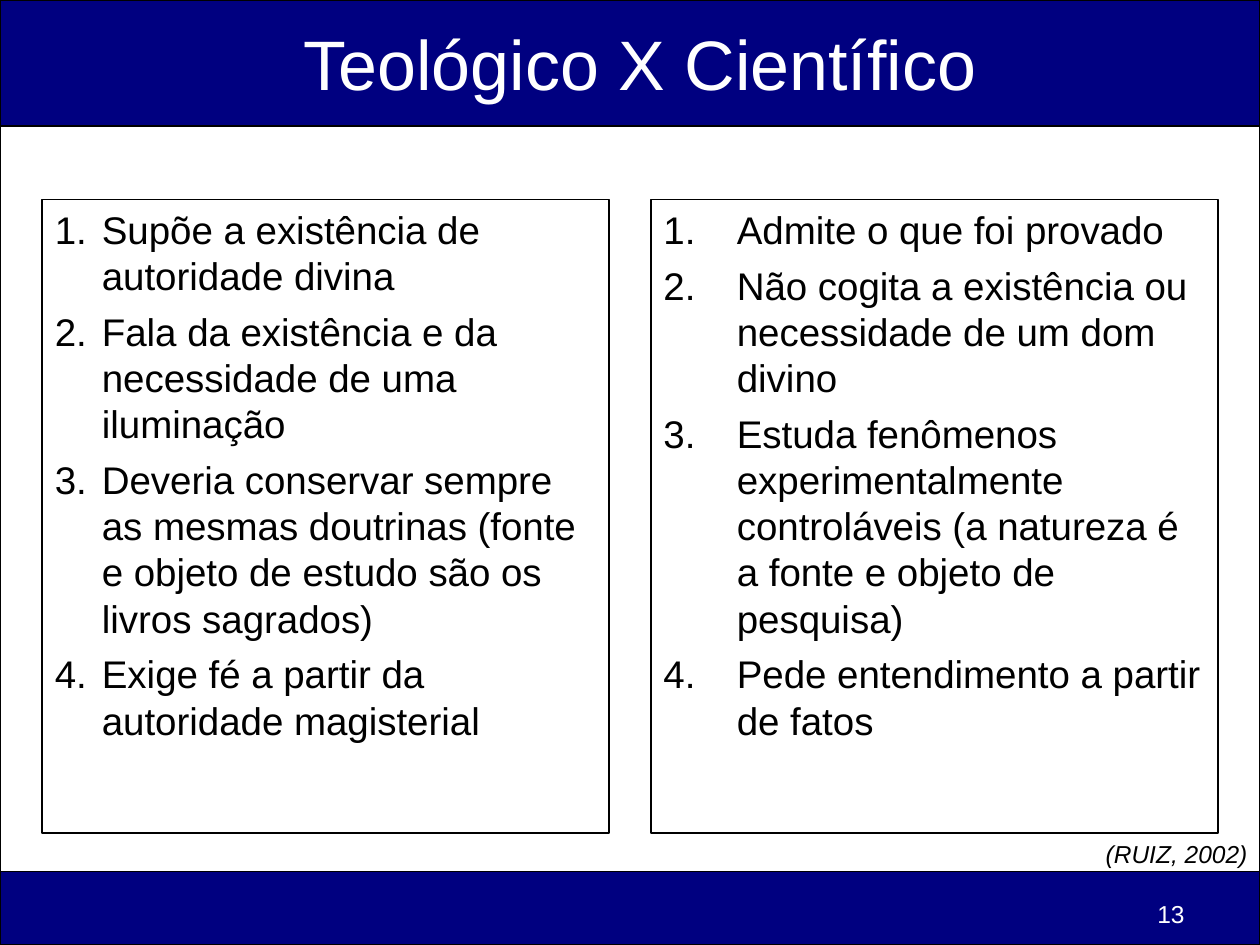
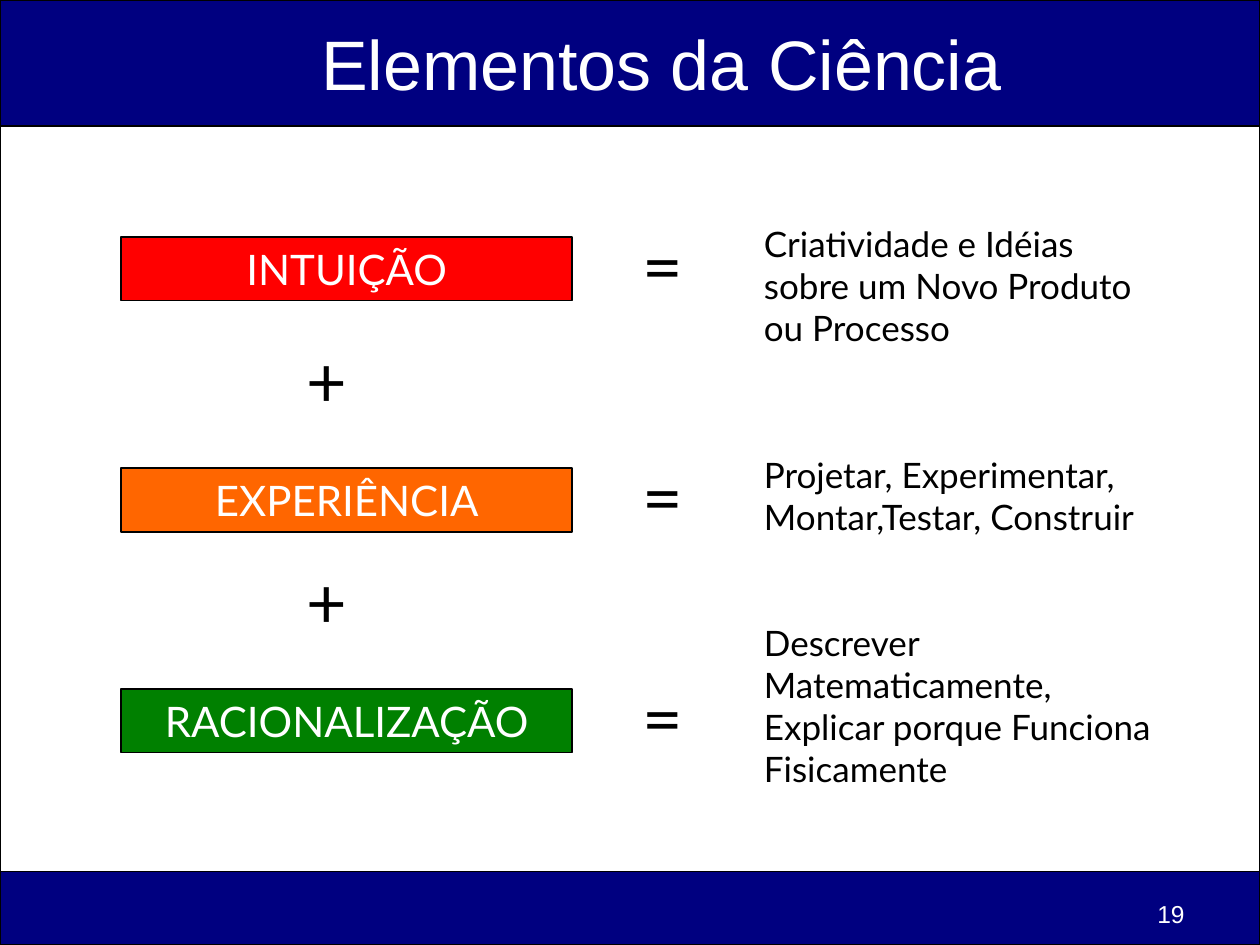
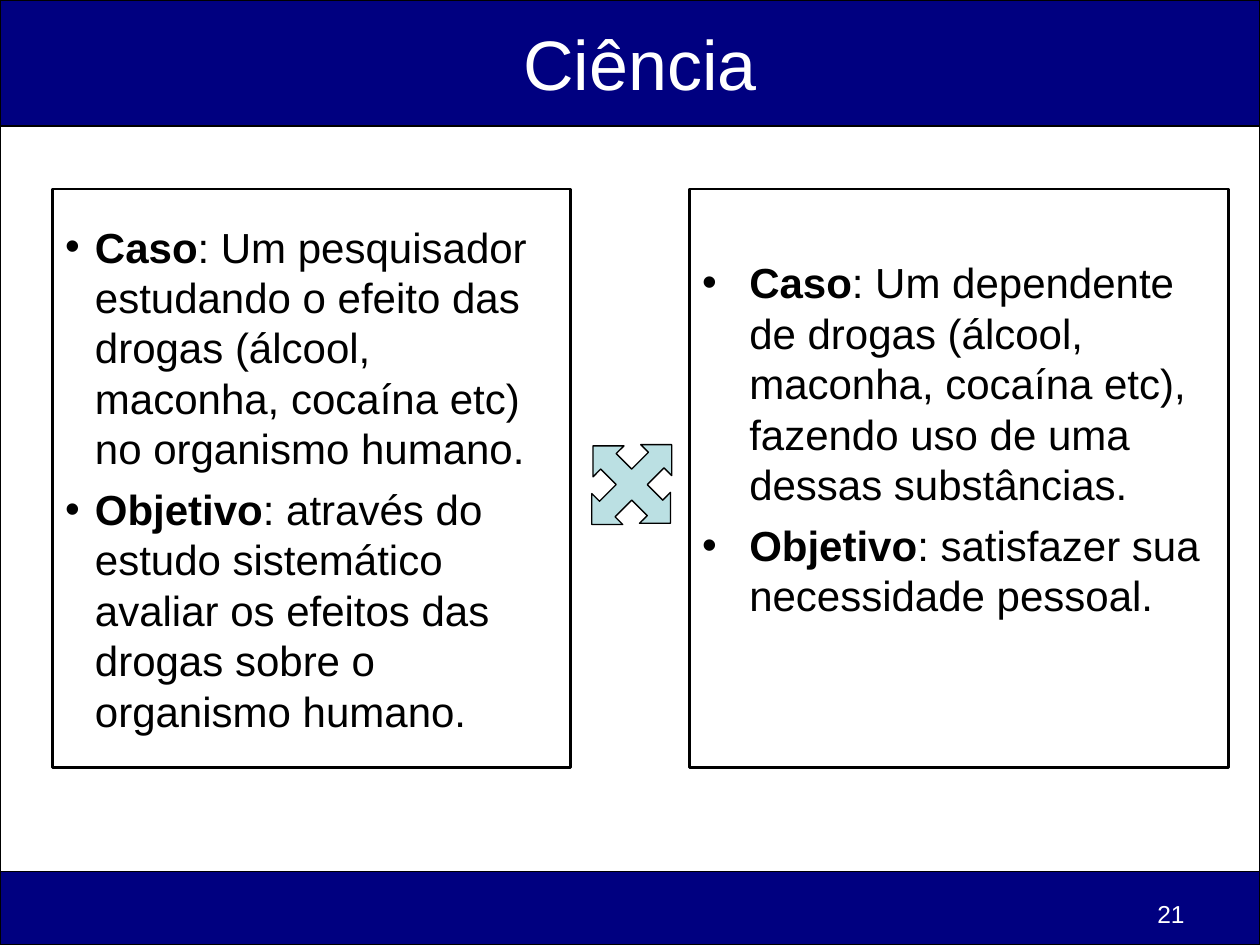
from typing import NamedTuple

from lxml.etree import SubElement
from pptx import Presentation
from pptx.dml.color import RGBColor
from pptx.enum.shapes import MSO_SHAPE
from pptx.enum.text import MSO_ANCHOR, MSO_AUTO_SIZE, PP_ALIGN
from pptx.oxml.ns import qn
from pptx.util import Cm, Pt

NAVY = RGBColor(0x00, 0x00, 0x80)
LAVENDER = RGBColor(0xE4, 0xE5, 0xFE)
WHITE = RGBColor(0xFF, 0xFF, 0xFF)
BLACK = RGBColor(0x00, 0x00, 0x00)
RED = RGBColor(0xFF, 0x00, 0x00)
ORANGE = RGBColor(0xFF, 0x66, 0x00)
GREEN = RGBColor(0x00, 0x80, 0x00)
PALE_TEAL = RGBColor(0xBB, 0xE0, 0xE3)

SANS = "Arial"
HUMANIST = "Lato"
TWO_CONTENT, TITLE_ONLY = 3, 5
LINE_RATIO = 1.2


class Box(NamedTuple):
    left: float
    top: float
    width: float
    height: float

    def lengths(self):
        return [Cm(value) for value in self]


PAGE = Box(0, 0, 25.4, 19.05)
HEADER = Box(0, 0, PAGE.width, 2.54)
FOOTER = Box(0, 17.57, PAGE.width, 1.48)
CONTENT = Box(0, HEADER.height, PAGE.width, FOOTER.top - HEADER.height)


def add_run(paragraph, text, size, color=BLACK, font=SANS, bold=False, italic=False):
    run = paragraph.add_run()
    run.text = text
    run.font.name = font
    run.font.size = Pt(size)
    run.font.color.rgb = color
    run.font.bold = bold
    run.font.italic = italic


def add_label(slide, box, text, size, color=BLACK, font=SANS,
              align=PP_ALIGN.LEFT, italic=False):
    label = slide.shapes.add_textbox(*box.lengths())
    label.text_frame.word_wrap = True
    paragraph = label.text_frame.paragraphs[0]
    paragraph.alignment = align
    add_run(paragraph, text, size, color, font, italic=italic)


def add_block(slide, box, fill, line_width=1, kind=MSO_SHAPE.RECTANGLE):
    block = slide.shapes.add_shape(kind, *box.lengths())
    block.shadow.inherit = False
    block.fill.solid()
    block.fill.fore_color.rgb = fill
    block.line.color.rgb = BLACK
    block.line.width = Pt(line_width)
    return block


def place(placeholder, box):
    placeholder.left, placeholder.top, placeholder.width, placeholder.height = box.lengths()
    placeholder.text_frame.auto_size = MSO_AUTO_SIZE.NONE
    placeholder.text_frame.word_wrap = True


def dress_master(master, slide):
    fill = master.background.fill
    fill.solid()
    fill.fore_color.rgb = LAVENDER
    bands = [(CONTENT, WHITE), (HEADER, NAVY), (FOOTER, NAVY)]
    for position, (box, color) in enumerate(bands, start=2):
        band = add_block(slide, box, color)
        master.shapes._spTree.insert(position, band._element)


def add_frame(slide, title, number, title_left=2.74):
    heading = slide.shapes.title
    place(heading, Box(title_left, HEADER.top, 20.32, HEADER.height))
    heading.text_frame.vertical_anchor = MSO_ANCHOR.MIDDLE
    paragraph = heading.text_frame.paragraphs[0]
    paragraph.alignment = PP_ALIGN.CENTER
    add_run(paragraph, title, 40, WHITE)
    add_label(slide, Box(18.21, FOOTER.top + 0.42, 5.92, 0.69), str(number), 14,
              WHITE, align=PP_ALIGN.RIGHT)


def set_marker(paragraph, indent, numbered):
    properties = paragraph._p.get_or_add_pPr()
    properties.set("marL", str(Cm(indent)))
    properties.set("indent", str(-Cm(indent)))
    SubElement(properties, qn("a:buFont"), typeface=SANS)
    if numbered:
        SubElement(properties, qn("a:buAutoNum"), type="arabicPeriod")
    else:
        SubElement(properties, qn("a:buChar"), char="•")


def fill_panel(panel, box, items, size, indent, gap, line_width, numbered=False,
               anchor=MSO_ANCHOR.TOP, top_inset=0.13):
    place(panel, box)
    panel.line.color.rgb = BLACK
    panel.line.width = Pt(line_width)
    frame = panel.text_frame
    frame.vertical_anchor = anchor
    frame.margin_top = Cm(top_inset)
    for index, (lead, text) in enumerate(items):
        paragraph = frame.add_paragraph() if index else frame.paragraphs[0]
        set_marker(paragraph, indent, numbered)
        paragraph.alignment = PP_ALIGN.LEFT
        paragraph.line_spacing = Pt(size * LINE_RATIO)
        paragraph.space_before = Pt(gap if index else 0)
        if lead:
            add_run(paragraph, lead, size, bold=True)
        add_run(paragraph, text, size)


def add_element_row(slide, row, name, color, meaning, meaning_shift):
    block = add_block(slide, Box(row.left, row.top, 9.1, row.height), color)
    block.text_frame.vertical_anchor = MSO_ANCHOR.TOP
    paragraph = block.text_frame.paragraphs[0]
    paragraph.alignment = PP_ALIGN.CENTER
    add_run(paragraph, name, 24, WHITE, HUMANIST)
    add_sign(slide, row.left + 9.75, row.top - 0.42, "=")
    add_label(slide, Box(row.left + 12.71, row.top - meaning_shift, 8.46, 2.79),
              meaning, 20, font=HUMANIST)


def add_sign(slide, left, top, sign):
    add_label(slide, Box(left, top, 2.34, 1.96), sign, 40, font=HUMANIST,
              align=PP_ALIGN.CENTER)


def build_comparison(slide):
    add_frame(slide, "Teológico X Científico", 13)
    theological = [
        "Supõe a existência de autoridade divina",
        "Fala da existência e da necessidade de uma iluminação",
        "Deveria conservar sempre as mesmas doutrinas "
        "(fonte e objeto de estudo são os livros sagrados)",
        "Exige fé a partir da autoridade magisterial",
    ]
    scientific = [
        "Admite o que foi provado",
        "Não cogita a existência ou necessidade de um dom divino",
        "Estuda fenômenos experimentalmente controláveis "
        "(a natureza é a fonte e objeto de pesquisa)",
        "Pede entendimento a partir de fatos",
    ]
    width, margin = 11.43, 0.85
    columns = [(margin, theological, 0.95),
               (PAGE.width - margin - width, scientific, 1.48)]
    for idx, (left, claims, indent) in enumerate(columns, start=1):
        fill_panel(slide.placeholders[idx], Box(left, CONTENT.top + 1.48, width, 12.78),
                   [("", claim) for claim in claims], 22, indent, 5.5, 1, numbered=True)
    citation_width = 5
    add_label(slide, Box(PAGE.width - citation_width, 16.79, citation_width, 0.86),
              "(RUIZ, 2002)", 14, align=PP_ALIGN.RIGHT, italic=True)


def build_elements(slide):
    add_frame(slide, "Elementos da Ciência", 19, title_left=3.17)
    elements = [
        (4.78, "INTUIÇÃO", RED,
         "Criatividade e Idéias sobre um Novo Produto ou Processo", 0.42),
        (9.44, "EXPERIÊNCIA", ORANGE,
         "Projetar, Experimentar, Montar,Testar, Construir", 0.42),
        (13.89, "RACIONALIZAÇÃO", GREEN,
         "Descrever Matematicamente, Explicar porque Funciona Fisicamente", 1.48),
    ]
    left = 2.44
    for index, (top, *element) in enumerate(elements):
        add_element_row(slide, Box(left, top, 21.16, 1.28), *element)
        if index:
            add_sign(slide, left + 2.97, top - 2.76, "+")


def build_cases(slide):
    add_frame(slide, "Ciência", 21)
    research = [
        ("Caso", ": Um pesquisador estudando o efeito das drogas (álcool, maconha, "
                 "cocaína etc) no organismo humano."),
        ("Objetivo", ": através do estudo sistemático avaliar os efeitos das drogas "
                     "sobre o organismo humano."),
    ]
    dependence = [
        ("Caso", ": Um dependente de drogas (álcool, maconha, cocaína etc), "
                 "fazendo uso de uma dessas substâncias."),
        ("Objetivo", ": satisfazer sua necessidade pessoal."),
    ]
    top, height = CONTENT.top + 1.27, 11.66
    fill_panel(slide.placeholders[1], Box(1.06, top, 10.44, height), research,
               24, 0.6, 6, 1.5, anchor=MSO_ANCHOR.MIDDLE)
    fill_panel(slide.placeholders[2], Box(13.9, top, 10.87, height), dependence,
               24, 0.95, 6, 1.5, top_inset=1.37)
    crossing = add_block(slide, Box(11.63, top + 4.82, 2.21, 2.28), PALE_TEAL, 0.75,
                         MSO_SHAPE.QUAD_ARROW)
    crossing.rotation = 45
    for index in range(3):
        crossing.adjustments[index] = 0.2


def main():
    deck = Presentation()
    deck.slide_width, deck.slide_height = Cm(PAGE.width), Cm(PAGE.height)
    pages = [(TWO_CONTENT, build_comparison), (TITLE_ONLY, build_elements),
             (TWO_CONTENT, build_cases)]
    for index, (layout, build) in enumerate(pages):
        slide = deck.slides.add_slide(deck.slide_layouts[layout])
        if index == 0:
            dress_master(deck.slide_master, slide)
        build(slide)
    deck.save("out.pptx")


if __name__ == "__main__":
    main()
